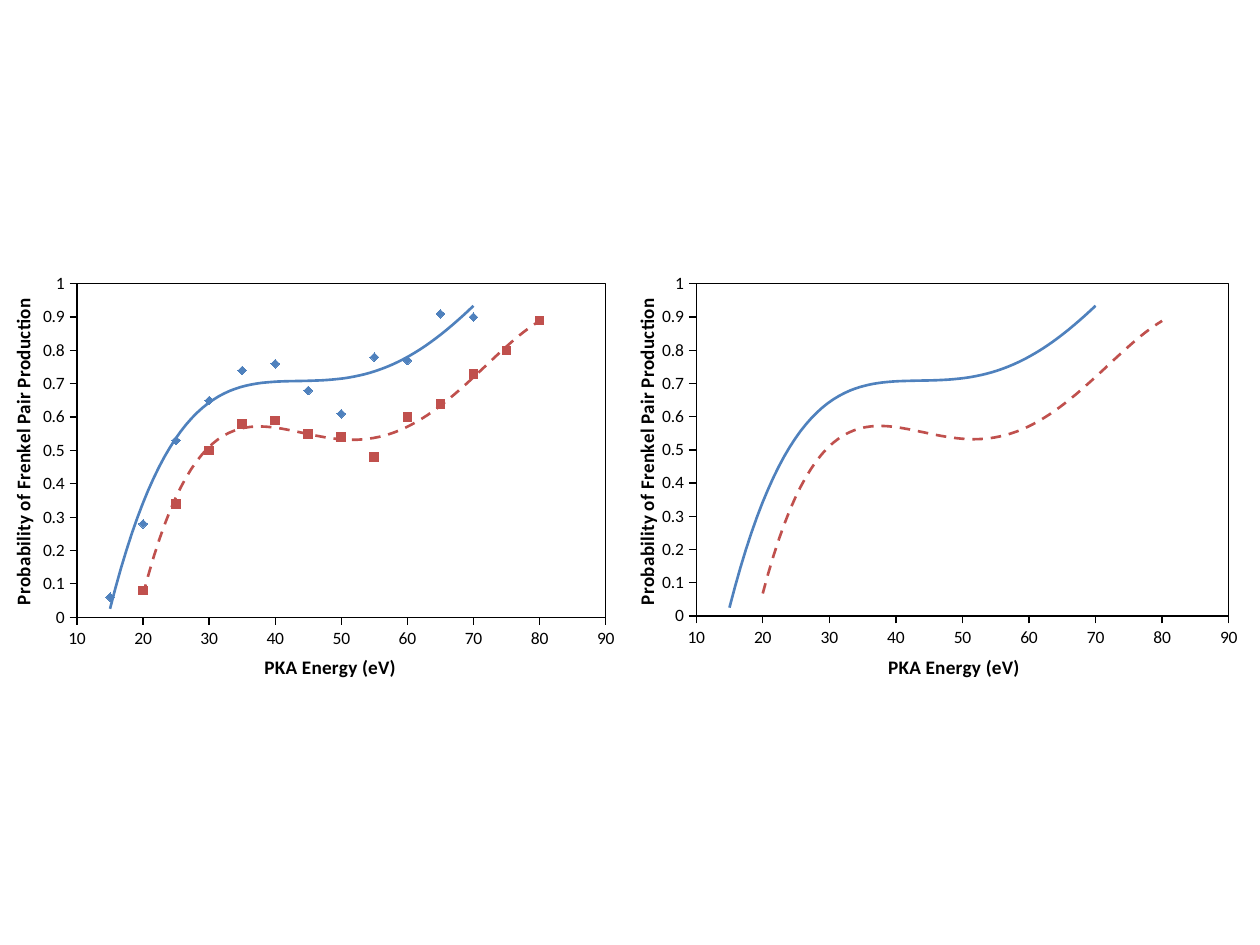
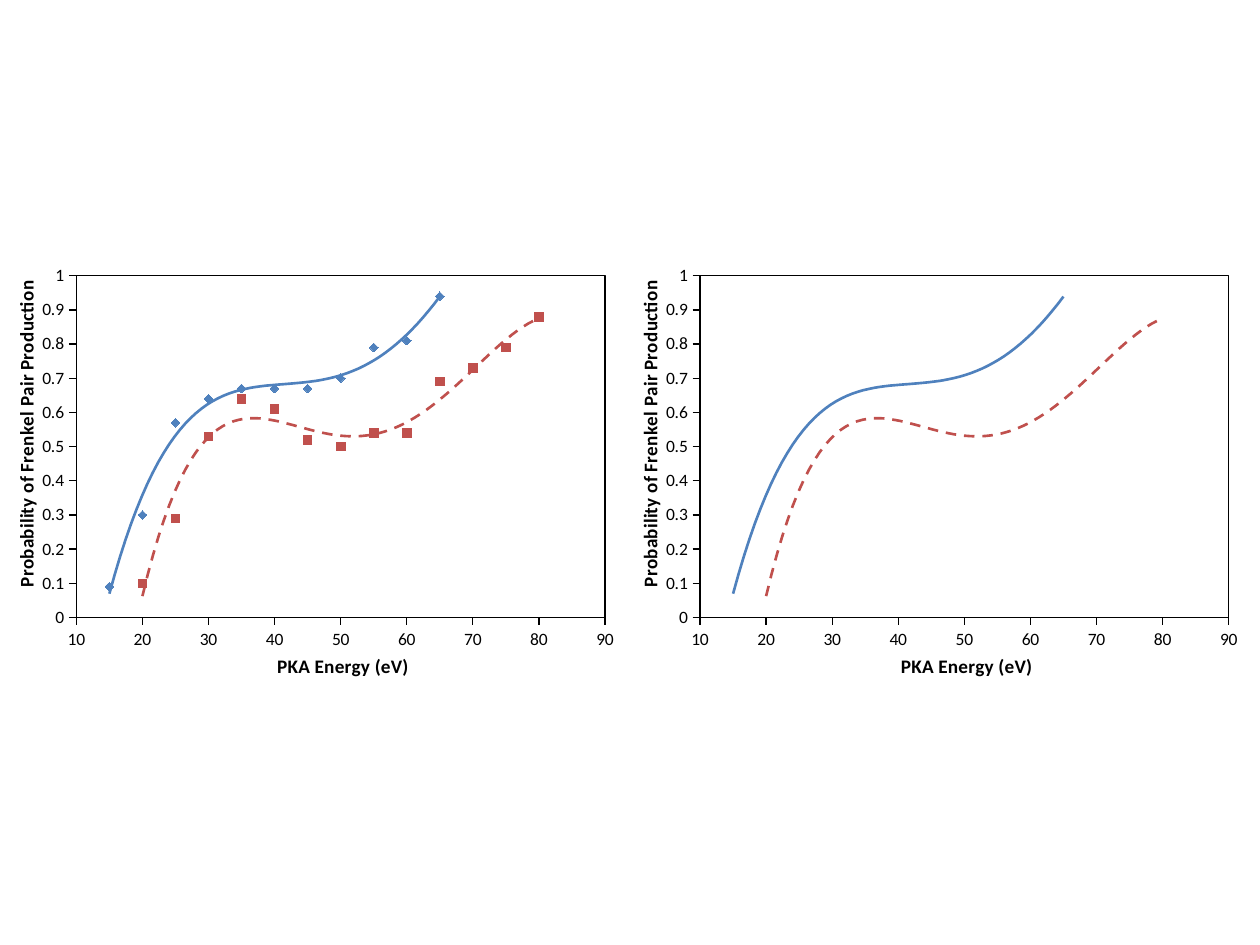
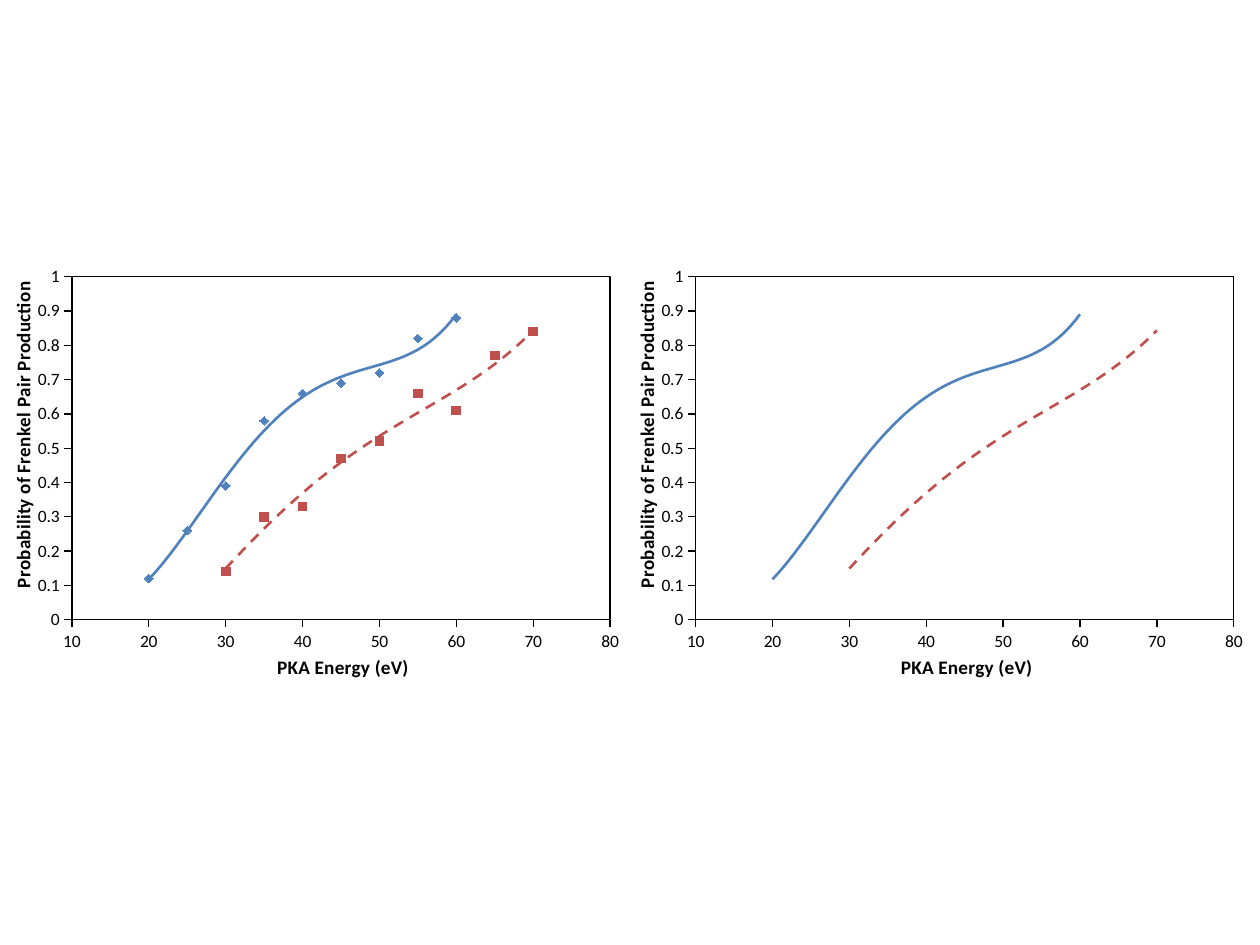
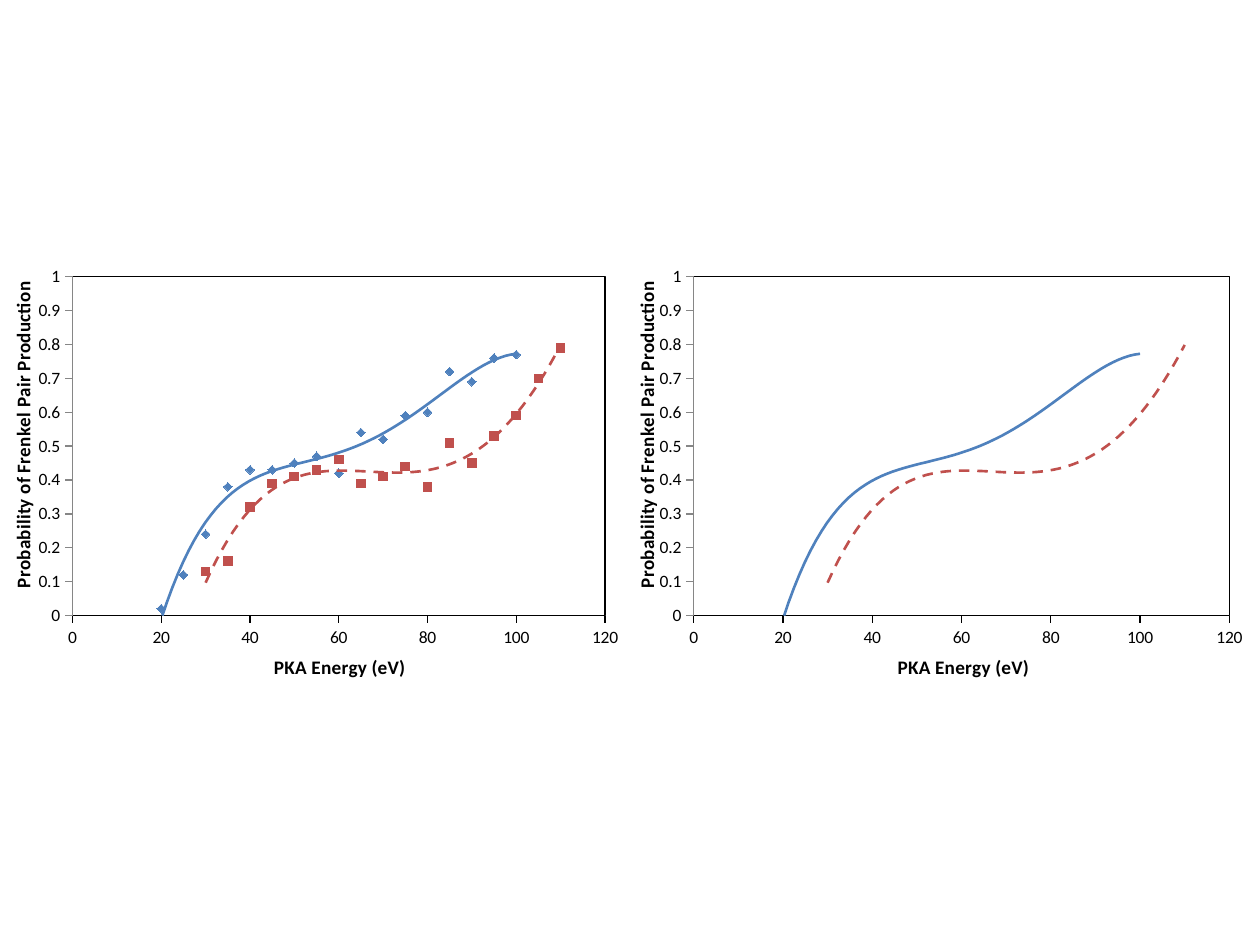
from lxml.etree import SubElement, fromstring
from pptx import Presentation
from pptx.chart.data import XyChartData
from pptx.dml.color import RGBColor
from pptx.enum.chart import XL_CHART_TYPE, XL_MARKER_STYLE, XL_TICK_MARK
from pptx.oxml.ns import nsdecls, qn
from pptx.util import Inches, Pt

FONT = "Calibri"
BLACK, GREY, RED, BLUE = "000000", "868686", "C0504D", "4F81BD"
STEP = 5
DEGREE = 4
WIDE, HIGH = 0.505, 0.449
LEFT, RIGHT = 0, 0.495
STYLES = [
    (RED, XL_MARKER_STYLE.SQUARE, "dash"),
    (BLUE, XL_MARKER_STYLE.DIAMOND, "solid"),
]

SLIDES = [
    dict(
        top=0.276, span=(10, 90, 10), axis=BLACK, name=(0.41, 0.93), side=(0.01, 0.09),
        plots=[(0.121, 0.055, 0.831, 0.796), (0.114, 0.055, 0.837, 0.793)],
        data=[
            (20, [0.08, 0.34, 0.5, 0.58, 0.59, 0.55, 0.54, 0.48, 0.6, 0.64, 0.73, 0.8, 0.89]),
            (15, [0.06, 0.28, 0.53, 0.65, 0.74, 0.76, 0.68, 0.61, 0.78, 0.77, 0.91, 0.9]),
        ],
    ),
    dict(
        top=0.275, span=(10, 90, 10), axis=BLACK, name=(0.43, 0.93), side=(0.015, 0.05),
        plots=[(0.12, 0.038, 0.831, 0.816)] * 2,
        data=[
            (20, [0.1, 0.29, 0.53, 0.64, 0.61, 0.52, 0.5, 0.54, 0.54, 0.69, 0.73, 0.79, 0.88]),
            (15, [0.09, 0.3, 0.57, 0.64, 0.67, 0.67, 0.67, 0.7, 0.79, 0.81, 0.94]),
        ],
    ),
    dict(
        top=0.276, span=(10, 80, 10), axis=BLACK, name=(0.43, 0.93), side=(0.01, 0.05),
        plots=[(0.113, 0.038, 0.846, 0.819)] * 2,
        data=[
            (30, [0.14, 0.3, 0.33, 0.47, 0.52, 0.66, 0.61, 0.77, 0.84]),
            (20, [0.12, 0.26, 0.39, 0.58, 0.66, 0.69, 0.72, 0.82, 0.88]),
        ],
    ),
    dict(
        top=0.276, span=(0, 120, 20), axis=GREY, name=(0.425, 0.93), side=(0.01, 0.05),
        plots=[(0.114, 0.038, 0.837, 0.809), (0.11, 0.038, 0.842, 0.809)],
        data=[
            (30, [0.13, 0.16, 0.32, 0.39, 0.41, 0.43, 0.46, 0.39, 0.41,
                  0.44, 0.38, 0.51, 0.45, 0.53, 0.59, 0.7, 0.79]),
            (20, [0.02, 0.12, 0.24, 0.38, 0.43, 0.43, 0.45, 0.47, 0.42,
                  0.54, 0.52, 0.59, 0.6, 0.72, 0.69, 0.76, 0.77]),
        ],
    ),
]


def tint(code):
    return RGBColor.from_string(code)


def stroke(color, width, dash="solid"):
    return fromstring(
        f'<c:spPr {nsdecls("c", "a")}><a:ln w="{Pt(width)}"><a:solidFill>'
        f'<a:srgbClr val="{color}"/></a:solidFill><a:prstDash val="{dash}"/></a:ln></c:spPr>'
    )


def arrange(node, index, spot, inner=False):
    old = node.find(qn("c:layout"))
    if old is not None:
        node.remove(old)
    layout = SubElement(node, qn("c:layout"))
    node.insert(index, layout)
    manual = SubElement(layout, qn("c:manualLayout"))
    if inner:
        SubElement(manual, qn("c:layoutTarget")).set("val", "inner")
    for key in ("xMode", "yMode"):
        SubElement(manual, qn(f"c:{key}")).set("val", "edge")
    for key, share in zip("xywh", spot):
        SubElement(manual, qn(f"c:{key}")).set("val", str(share))


def set_axis(axis, span, color, text, spot, turn):
    axis.minimum_scale, axis.maximum_scale, axis.major_unit = span
    axis.has_major_gridlines = False
    axis.major_tick_mark = XL_TICK_MARK.OUTSIDE
    axis.minor_tick_mark = XL_TICK_MARK.NONE
    axis.format.line.color.rgb = tint(color)
    axis.format.line.width = Pt(0.75)
    title = axis.axis_title
    title.text_frame.text = text
    font = title.text_frame.paragraphs[0].font
    font.name, font.size, font.bold = FONT, Pt(11), True
    font.color.rgb = tint(BLACK)
    node = title._element
    node.find(".//" + qn("a:bodyPr")).set("rot", str(turn))
    arrange(node, 1, spot)


def add_trend(series, color, dash):
    node = series._element
    trend = fromstring(f'<c:trendline {nsdecls("c")}/>')
    trend.append(stroke(color, 1.5, dash))
    for key, val in (("trendlineType", "poly"), ("order", DEGREE),
                     ("dispRSqr", 0), ("dispEq", 0)):
        SubElement(trend, qn(f"c:{key}")).set("val", str(val))
    node.find(qn("c:xVal")).addprevious(trend)


def set_series(series, color, shape, dash, dots):
    series.format.line.fill.background()
    mark = series.marker
    mark.style = shape if dots else XL_MARKER_STYLE.NONE
    if dots:
        mark.size = 5
        mark.format.fill.solid()
        mark.format.fill.fore_color.rgb = tint(color)
        mark.format.line.color.rgb = tint(color)
    add_trend(series, color, dash)


def add_plot(slide, box, page, plot, dots):
    data = XyChartData()
    for count, (start, vals) in enumerate(page["data"], 1):
        series = data.add_series(f"Series {count}")
        for index, val in enumerate(vals):
            series.add_data_point(start + STEP * index, val)
    chart = slide.shapes.add_chart(XL_CHART_TYPE.XY_SCATTER, *box, data).chart
    chart.has_title = chart.has_legend = False
    chart.font.name, chart.font.size = FONT, Pt(10)
    chart.font.color.rgb = tint(BLACK)
    chart.plots[0].vary_by_categories = False
    set_axis(chart.category_axis, page["span"], BLACK, "PKA Energy (eV)", page["name"], 0)
    set_axis(chart.value_axis, (0, 1, 0.1), page["axis"],
             "Probability of Frenkel Pair Production", page["side"], -5400000)
    for series, style in zip(chart.plots[0].series, STYLES):
        series.smooth = False
        set_series(series, *style, dots)
    area = chart._chartSpace.find(".//" + qn("c:plotArea"))
    arrange(area, 0, plot, inner=True)
    area.append(stroke(BLACK, 0.75))


def add_page(deck, page):
    slide = deck.slides.add_slide(deck.slide_layouts[6])
    width, height = deck.slide_width, deck.slide_height
    for left, plot, dots in zip((LEFT, RIGHT), page["plots"], (True, False)):
        box = [round(size) for size in
               (left * width, page["top"] * height, WIDE * width, HIGH * height)]
        add_plot(slide, box, page, plot, dots)


def main():
    deck = Presentation()
    deck.slide_width, deck.slide_height = Inches(10), Inches(7.5)
    for page in SLIDES:
        add_page(deck, page)
    deck.save("out.pptx")


if __name__ == "__main__":
    main()
